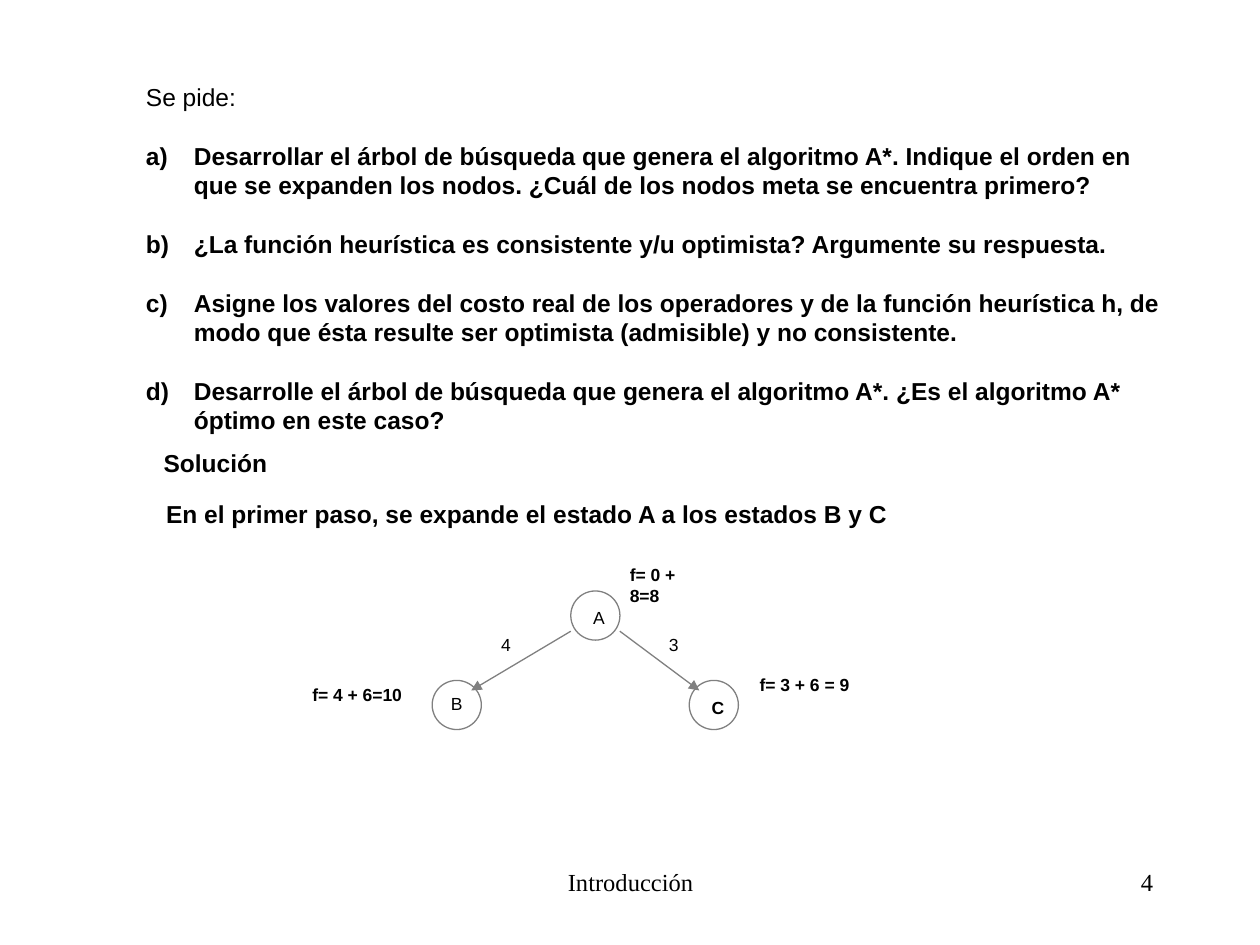
from lxml import etree
from pptx import Presentation
from pptx.dml.color import RGBColor
from pptx.enum.shapes import MSO_CONNECTOR, MSO_SHAPE
from pptx.enum.text import PP_ALIGN
from pptx.oxml.ns import qn
from pptx.util import Inches, Pt

LEFT, CENTER, RIGHT = PP_ALIGN.LEFT, PP_ALIGN.CENTER, PP_ALIGN.RIGHT
OVAL, STRAIGHT = MSO_SHAPE.OVAL, MSO_CONNECTOR.STRAIGHT
BLACK, GRAY = "000000", "808080"
LEADING = 1.2

deck = Presentation()
deck.slide_width, deck.slide_height = Inches(10), Inches(7.5)
page = deck.slides.add_slide(deck.slide_layouts[6])
COLUMN = deck.slide_width / 100
ROW = deck.slide_height / 75


def color(hex_string):
    return RGBColor.from_string(hex_string)


def add_text(column, row, columns, rows, lines, size, bold=False,
             font="Arial", align=LEFT, wrap=True):
    """Add a text box with one paragraph per line and return its paragraphs."""
    box = page.shapes.add_textbox(int(column * COLUMN), int(row * ROW),
                                  int(columns * COLUMN), int(rows * ROW))
    frame = box.text_frame
    frame.word_wrap = wrap
    frame.text = "\n".join(lines)
    for para in frame.paragraphs:
        para.alignment = align
        para.line_spacing = Pt(size * LEADING)
        para.font.name = font
        para.font.size = Pt(size)
        para.font.bold = bold
        para.font.color.rgb = color(BLACK)
    return frame.paragraphs


# Questions: an introduction and a lettered list, one blank line apart
questions = add_text(10.6, 6, 82.9, 29, [
    "Se pide:",
    "Desarrollar el árbol de búsqueda que genera el algoritmo A*. Indique el "
    "orden en que se expanden los nodos. ¿Cuál de los nodos meta se encuentra primero?",
    "¿La función heurística es consistente y/u optimista? Argumente su respuesta.",
    "Asigne los valores del costo real de los operadores y de la función heurística h, "
    "de modo que ésta resulte ser optimista (admisible) y no consistente.",
    "Desarrolle el árbol de búsqueda que genera el algoritmo A*. "
    "¿Es el algoritmo A* óptimo en este caso?",
], 14)
indent = int(3.8 * COLUMN)
for para in questions[1:]:
    para.space_before = Pt(14 * LEADING)
    para.font.bold = True
    properties = para._p.get_or_add_pPr()
    properties.set("marL", str(indent))
    properties.set("indent", str(-indent))
    numbering = etree.SubElement(properties, qn("a:buAutoNum"), type="alphaLcParenR")
    properties.find(qn("a:defRPr")).addprevious(numbering)

# Solution
add_text(12, 35.1, 10.2, 3.4, ["Solución"], 14, bold=True, wrap=False)
add_text(12.2, 39.1, 78.8, 3.4,
         ["En el primer paso, se expande el estado A a los estados B y C"], 14, bold=True)

# Search tree
DIAMETER = 3.9
nodes = {"A": (45.3, 46.9), "B": (34.3, 54), "C": (54.7, 54)}
for column, row in nodes.values():
    circle = page.shapes.add_shape(OVAL, int(column * COLUMN), int(row * ROW),
                                   int(DIAMETER * COLUMN), int(DIAMETER * ROW))
    circle.shadow.inherit = False
    circle.fill.background()
    circle.line.color.rgb = color(GRAY)
    circle.line.width = Pt(0.75)

root_column, root_row = nodes["A"]
for child, start_offset, end_offset in (("B", 0, 3.1), ("C", DIAMETER, 0.8)):
    child_column, child_row = nodes[child]
    arrow = page.shapes.add_connector(
        STRAIGHT,
        int((root_column + start_offset) * COLUMN), int((root_row + 3.2) * ROW),
        int((child_column + end_offset) * COLUMN), int((child_row + 0.8) * ROW))
    arrow.line.color.rgb = color(GRAY)
    arrow.line.width = Pt(0.75)
    etree.SubElement(arrow.line._get_or_add_ln(), qn("a:tailEnd"), type="triangle")
    etree.SubElement(arrow._element.spPr, qn("a:effectLst"))

for label, column, row, columns, bold in (
    ("A", 46.1, 47.7, 2.9, False),
    ("B", 34.8, 54.5, 2.9, False),
    ("C", 55.5, 54.8, 3.2, True),
    ("4", 38.8, 49.8, 2.7, False),
    ("3", 52.1, 49.8, 2.7, False),
    ("f= 0 + 8=8", 49, 44.3, 8.3, True),
    ("f= 4 + 6=10", 23.8, 53.8, 9.1, True),
    ("f= 3 + 6 = 9", 59.3, 53, 9.1, True),
):
    add_text(column, row, columns, 2.7, [label], 10, bold=bold, wrap=False)

# Footer
for text, column, columns, align in (("Introducción", 34.2, 31.7, CENTER),
                                     ("4", 71.7, 20.8, RIGHT)):
    add_text(column, 68.3, columns, 5, [text], 14, font="Times New Roman", align=align)

deck.save("out.pptx")
